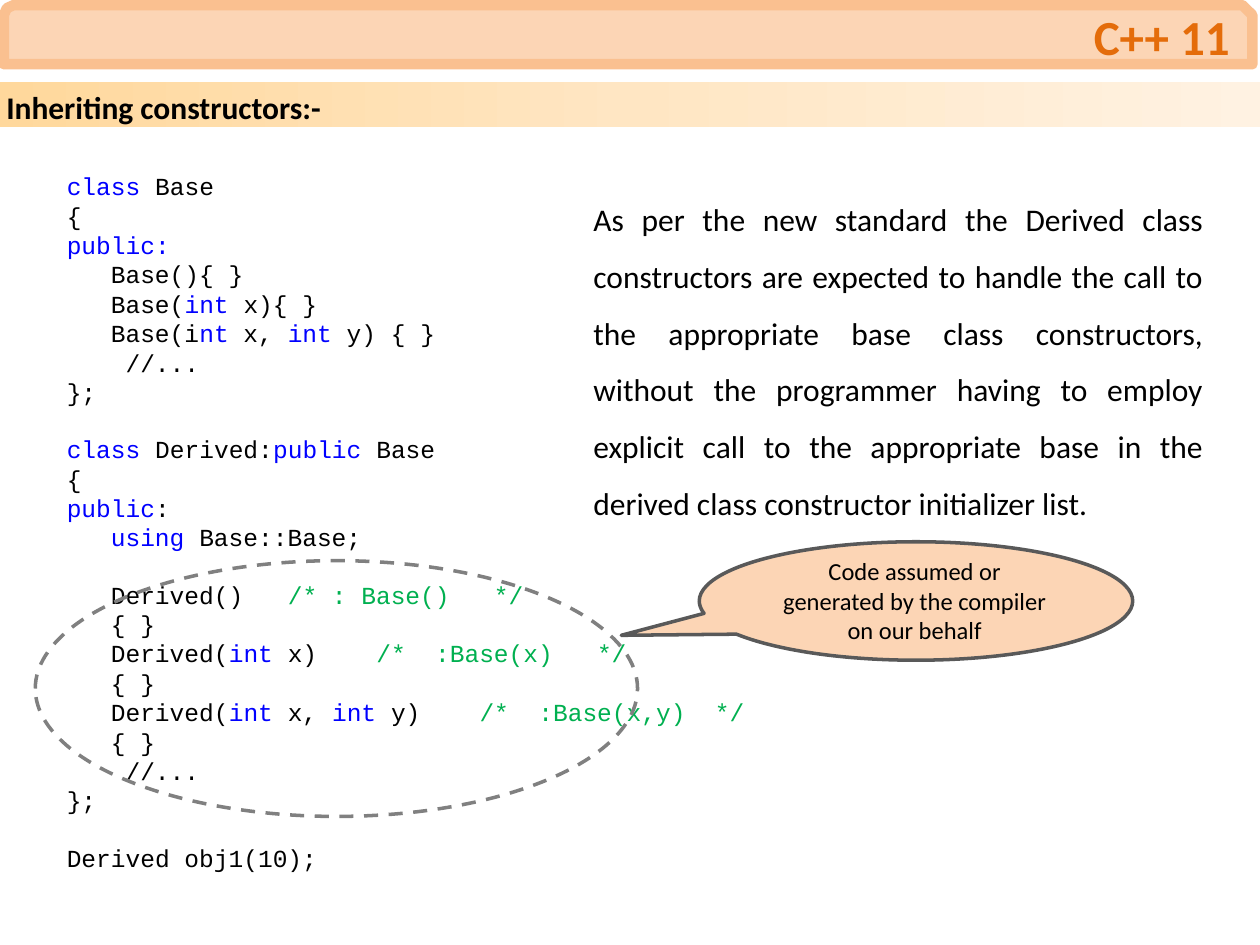
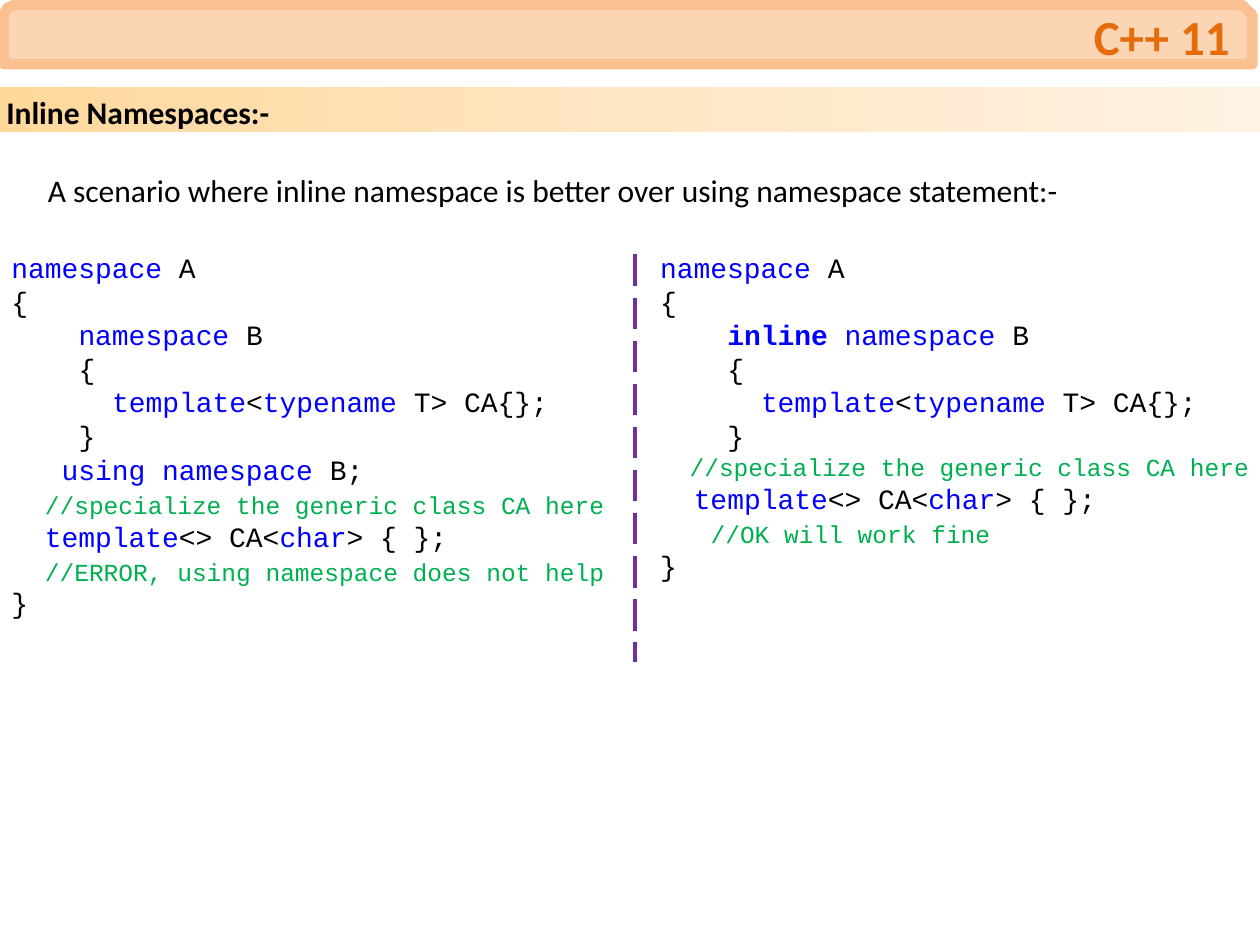
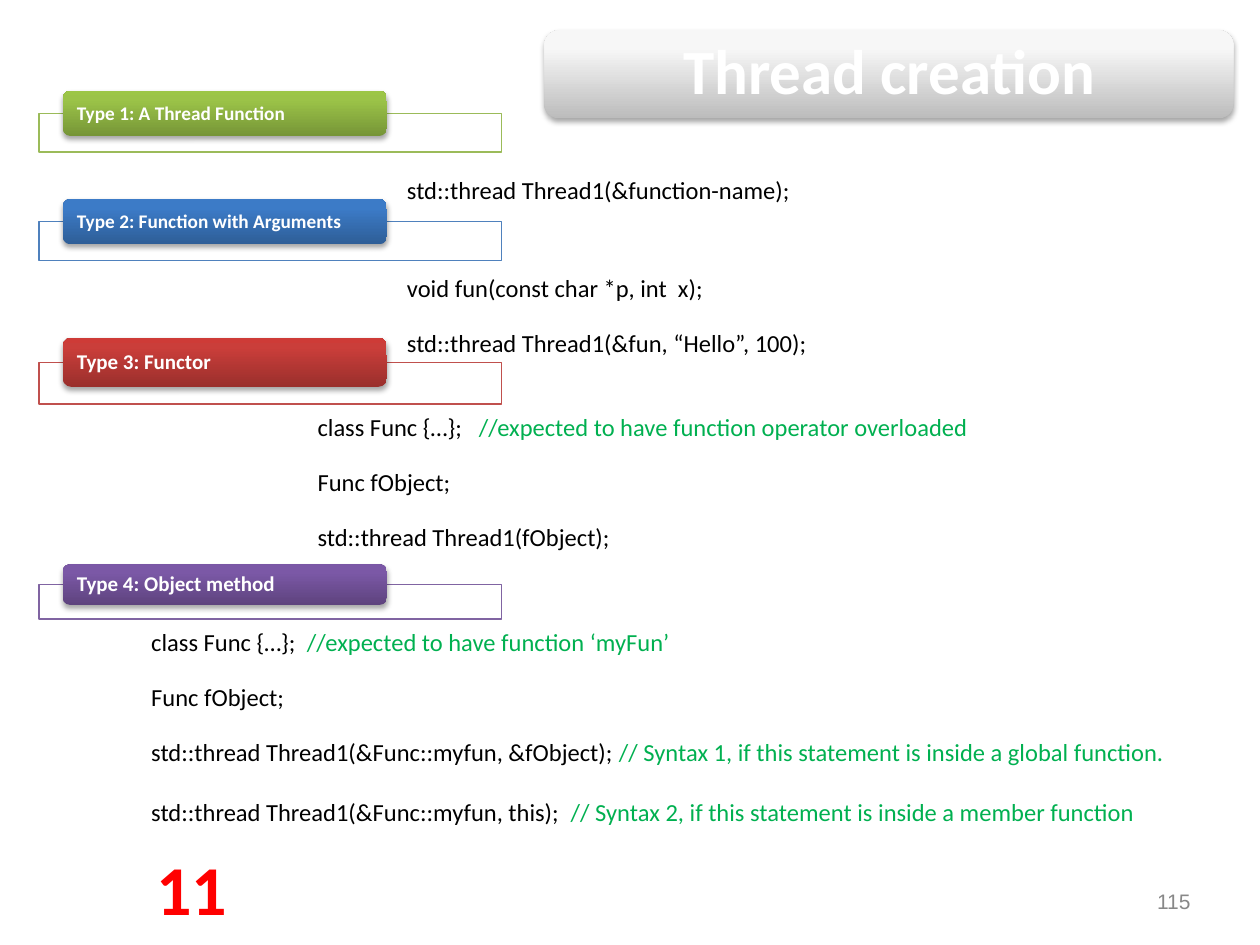
from lxml.etree import SubElement
from pptx import Presentation
from pptx.dml.color import RGBColor
from pptx.enum.dml import MSO_LINE as Dash
from pptx.enum.shapes import MSO_CONNECTOR as Link, MSO_SHAPE as Shape
from pptx.enum.text import MSO_ANCHOR as Anchor, PP_ALIGN as Align
from pptx.oxml.ns import qn
from pptx.util import Inches, Pt

COLUMNS, ROWS = 100, 75
BLACK, WHITE = "000000", "FFFFFF"
KEYWORD, COMMENT = "0000FF", "00B050"
TINTS = {"plain": BLACK, "keyword": KEYWORD, "comment": COMMENT}
PEACH, PEACH_EDGE, ORANGE = "FCD5B5", "FAC090", "E46C0A"
BAND = [(0, "FFD89C"), (50, "FFE6C3"), (100, "FFF2E2")]
BODY_FONT, CODE_FONT, NUMBER_FONT = "Calibri", "Courier New", "Arial"
LINE_HEIGHT = {BODY_FONT: 1.22, CODE_FONT: 1.13}
CODE_CHAR_WIDTH = 0.6
COMMENT_SIZE = 14


def color(value):
    return RGBColor.from_string(value)


def style_run(run, size, tint, font, bold=False):
    run.font.size = Pt(size)
    run.font.name = font
    run.font.bold = bold
    run.font.color.rgb = color(tint)


def parts_of(line):
    """Yield (text, kind): `word` is a keyword, everything after @ a comment."""
    source, _, remark = line.partition("@")
    for index, part in enumerate(source.split("`")):
        if part:
            yield part, "keyword" if index % 2 else "plain"
    if remark:
        yield remark, "comment"


class Deck:
    """Style and current slide; places are (column, row, columns, rows)."""

    def __init__(self):
        self.deck = Presentation()
        self.deck.slide_width, self.deck.slide_height = Inches(10), Inches(7.5)
        self.column = self.deck.slide_width / COLUMNS
        self.row = self.deck.slide_height / ROWS
        self.shapes = None

    def new_page(self):
        self.shapes = self.deck.slides.add_slide(self.deck.slide_layouts[6]).shapes

    def place(self, left, top, width, height):
        return (round(left * self.column), round(top * self.row),
                round(width * self.column), round(height * self.row))

    def paint(self, shape, fill=None, line=None, width=1, dash=None):
        shape.shadow.inherit = False
        if fill:
            shape.fill.solid()
            shape.fill.fore_color.rgb = color(fill)
        else:
            shape.fill.background()
        if line:
            self.stroke(shape.line, line, width, dash)
        else:
            shape.line.fill.background()

    def stroke(self, line, tint, width, dash=None):
        line.color.rgb = color(tint)
        line.width = Pt(width)
        if dash:
            line.dash_style = dash

    def shape(self, kind, cells, **paint):
        shape = self.shapes.add_shape(kind, *self.place(*cells))
        self.paint(shape, **paint)
        return shape

    def gradient(self, shape, stops, angle):
        shape.fill.gradient()
        shape.fill.gradient_angle = angle
        stop_list = shape.element.spPr.find(qn("a:gradFill")).find(qn("a:gsLst"))
        for stop in list(stop_list):
            stop_list.remove(stop)
        for position, tint in stops:
            stop = SubElement(stop_list, qn("a:gs"), pos=str(position * 1000))
            SubElement(stop, qn("a:srgbClr"), val=tint)

    def glossy(self, cells, colors):
        """Rounded plate, dark at the bottom, with a soft shadow below."""
        plate = self.shape(Shape.ROUNDED_RECTANGLE, cells)
        self.gradient(plate, zip((0, 80, 100), colors), 90)
        effects = plate.element.spPr.find(qn("a:effectLst"))
        shadow = SubElement(effects, qn("a:outerShdw"), blurRad=str(Pt(3)),
                            dist=str(Pt(1.8)), dir="5400000", rotWithShape="0")
        tint = SubElement(shadow, qn("a:srgbClr"), val=BLACK)
        SubElement(tint, qn("a:alpha"), val="35000")

    def set_frame(self, frame, margin=0.05, anchor=Anchor.TOP, wrap=True):
        frame.word_wrap = wrap
        frame.vertical_anchor = anchor
        frame.margin_left = frame.margin_right = Inches(margin)
        frame.margin_top = frame.margin_bottom = Inches(margin)

    def fill_text(self, frame, text, size, tint=BLACK, font=BODY_FONT, bold=False,
                  align=Align.LEFT, spacing=None, before=None, **layout):
        self.set_frame(frame, **layout)
        frame.text = text
        para = frame.paragraphs[0]
        para.alignment = align
        if spacing:
            para.line_spacing = spacing
        if before:
            para.space_before = Pt(before)
        style_run(para.runs[0], size, tint, font, bold)

    def text(self, cells, text, size, **style):
        box = self.shapes.add_textbox(*self.place(*cells))
        self.fill_text(box.text_frame, text, size, **style)

    def code(self, cells, source, size, font=CODE_FONT, blank_size=None):
        """Set marked-up lines; leading blanks become indents, empty lines spacing."""
        frame = self.shapes.add_textbox(*self.place(*cells)).text_frame
        self.set_frame(frame)
        para, gap = frame.paragraphs[0], 0
        for number, line in enumerate(source.strip("\n").split("\n")):
            if not line:
                gap = (blank_size or size) * LINE_HEIGHT[font]
                continue
            if number:
                para = frame.add_paragraph()
            bare, unit = line.lstrip(" "), size
            if line.startswith("@"):
                bare, unit = "@" + line[1:].lstrip(" "), COMMENT_SIZE
            elif bare.startswith("@"):
                gap += (size - COMMENT_SIZE) * LINE_HEIGHT[font]
            indent = (len(line) - len(bare)) * unit * CODE_CHAR_WIDTH
            if indent:
                para._p.get_or_add_pPr().set("marL", str(Pt(indent)))
            para.space_before = Pt(gap)
            gap = 0
            for part, kind in parts_of(bare):
                span = para.add_run()
                span.text = part
                style_run(span, COMMENT_SIZE if kind == "comment" else size,
                          TINTS[kind], font, part == "inline")
        return frame

    def header(self, title):
        points = [(98.6, 0.4), (99.4, 1.2), (99.4, 5.1), (0.3, 5.1),
                  (0.3, 1.2), (0.55, 0.65), (1.1, 0.4)]
        corners = [self.place(*point, 0, 0)[:2] for point in points]
        builder = self.shapes.build_freeform(*corners[-1])
        builder.add_line_segments(corners[:-1], close=True)
        self.paint(builder.convert_to_shape(), PEACH, PEACH_EDGE, 6)
        self.text((1.5, 0.4, 96.6, 4.9), title, 28, tint=ORANGE, bold=True,
                  align=Align.RIGHT, anchor=Anchor.MIDDLE)

    def band(self, row, title):
        band = self.shape(Shape.RECTANGLE, (0, row, COLUMNS, 3.6))
        self.gradient(band, BAND, 0)
        self.fill_text(band.text_frame, title, 18, bold=True)

    def divider(self, column, top, bottom):
        left, start, _, length = self.place(column, top, 0, bottom - top)
        line = self.shapes.add_connector(Link.STRAIGHT, left, start, left, start + length)
        self.stroke(line.line, "7030A0", 2.25, Dash.LONG_DASH)
        SubElement(line.element.spPr, qn("a:effectLst"))

    def tab(self, row, height, label, size, edge, colors):
        """Glossy tab over the top edge of an outlined frame."""
        frame = self.shape(Shape.RECTANGLE, (3.1, row + height / 2, 36.7, height * 0.85),
                           fill=WHITE, line=edge, width=0.75)
        tint = frame.element.spPr.find(qn("a:solidFill"))[0]
        SubElement(tint, qn("a:alpha"), val="90000")
        self.glossy((5, row, 25.7, height), colors)
        self.text((6.1, row + height * 0.3, 23.4, height * 0.42), label, size,
                  tint=WHITE, bold=True, spacing=0.9, before=size - 7,
                  margin=0, anchor=Anchor.MIDDLE)


INHERITING = """
`class` Base
{
`public:`
   Base(){ }
   Base(`int` x){ }
   Base(i`nt` x, `int` y) { }
    //...
};

`class` Derived:`public` Base
{
`public`:
   `using` Base::Base;

   Derived()   @/* : Base()   */
   { }
   Derived(`int` x)    @/*  :Base(x)   */
   { }
   Derived(`int` x, `int` y)    @/*  :Base(x,y)  */
   { }
    //...
};

Derived obj1(10);
"""

USING_NAMESPACE = """
`namespace` A
{
    `namespace` B
    {
      `template`<`typename` T> CA{};
    }
   `using namespace` B;
  @//specialize the generic class CA here
  `template`<> CA<`char`> { };
  @//ERROR, using namespace does not help
}
"""

INLINE_NAMESPACE = """
`namespace` A
{
    `inline` `namespace` B
    {
      `template`<`typename` T> CA{};
    }
@  //specialize the generic class CA here
  `template`<> CA<`char`> { };
   @//OK will work fine
}
"""

# row, height, label, label size, edge, gradient colours, code place, code
THREAD_TYPES = [
    (7.2, 3.6, "Type 1: A Thread Function", 11, "9BBB59",
     ("769537", "9BC348", "9CC646"), (31.8, 13.4, 54.5, 3.1),
     "std::thread Thread1(&function-name);"),
    (15.8, 3.6, "Type 2: Function with Arguments", 11, "4F81BD",
     ("2E5E97", "3C7BC7", "3A7CCA"), (31.8, 21.2, 54.5, 7.7),
     "void fun(const char *p, int  x);\n\nstd::thread Thread1(&fun, “Hello”, 100);"),
    (26.8, 3.9, "Type 3: Functor", 12, "C0504D",
     ("9A2F2C", "CA3E3A", "CE3B37"), (24.7, 32.2, 54.5, 12.2), """
class Func {…};   @//expected to have function operator overloaded

Func fObject;

std::thread Thread1(fObject);
"""),
    (44.8, 3.2, "Type 4: Object method", 12, "8064A2",
     ("5E437E", "7B58A6", "7B57A8"), (11.5, 49.3, 84.2, 19.7), """
class Func {…};  @//expected to have function ‘myFun’

Func fObject;

std::thread Thread1(&Func::myfun, &fObject); @// Syntax 1, if this statement is inside a global function.

std::thread Thread1(&Func::myfun, this);  @// Syntax 2, if this statement is inside a member function
"""),
]


def inheriting_page(deck):
    deck.new_page()
    deck.band(6.5, "Inheriting constructors:-")
    deck.header("C++ 11")
    deck.code((4.8, 13.1, 69.9, 54.3), INHERITING, 14)
    deck.text((46.6, 13.9, 49.4, 26.2),
              "As per the new standard the Derived class constructors are expected to "
              "handle the call to the appropriate base class constructors, without the "
              "programmer having to employ explicit call to the appropriate base in the "
              "derived class constructor initializer list.",
              18, align=Align.JUSTIFY, spacing=1.5)
    deck.shape(Shape.OVAL, (2.8, 44.5, 47.8, 20.3), line="808080", width=2, dash=Dash.DASH)
    callout = deck.shape(Shape.OVAL_CALLOUT, (55.5, 43, 34.4, 9.4),
                         fill=PEACH, line="595959", width=2)
    callout.adjustments[0], callout.adjustments[1] = -0.68, 0.29
    deck.text((61.1, 43.6, 23, 8.1),
              "Code assumed or generated by the compiler on our behalf",
              14, align=Align.CENTER, anchor=Anchor.MIDDLE)


def namespaces_page(deck):
    deck.new_page()
    deck.header("C++ 11")
    deck.band(6.9, "Inline Namespaces:-")
    deck.code((0.4, 19.4, 48.6, 28.5), USING_NAMESPACE, 16)
    deck.text((3.3, 13.1, 83.3, 3.6),
              "A scenario where inline namespace is better over using namespace statement:-", 18)
    deck.code((51.9, 19.4, 48.6, 25.7), INLINE_NAMESPACE, 16)
    deck.divider(50.4, 20.2, 52.5)


def threads_page(deck):
    deck.new_page()
    deck.glossy((43.2, 2.4, 54.7, 7), ("BCBCBC", "F7F7F7", "F8F8F8"))
    deck.text((43.6, 1.9, 54, 8), "Thread creation", 36, tint=WHITE, bold=True,
              align=Align.CENTER, spacing=0.9, before=15, margin=0.15, anchor=Anchor.MIDDLE)
    for *tab, cells, source in THREAD_TYPES:
        deck.tab(*tab)
        listing = deck.code(cells, source, 14, BODY_FONT, blank_size=12)
    listing.paragraphs[-1].space_before = Pt(14 * LINE_HEIGHT[BODY_FONT])
    deck.text((11.8, 66.6, 6.8, 6.6), "11", 40, tint="FF0000", bold=True, align=Align.CENTER)
    deck.text((91.3, 70.2, 3.7, 2.7), "115", 12, tint="888888", font=NUMBER_FONT,
              align=Align.RIGHT, anchor=Anchor.MIDDLE, wrap=False)


def main():
    deck = Deck()
    inheriting_page(deck)
    namespaces_page(deck)
    threads_page(deck)
    deck.deck.save("out.pptx")


if __name__ == "__main__":
    main()
